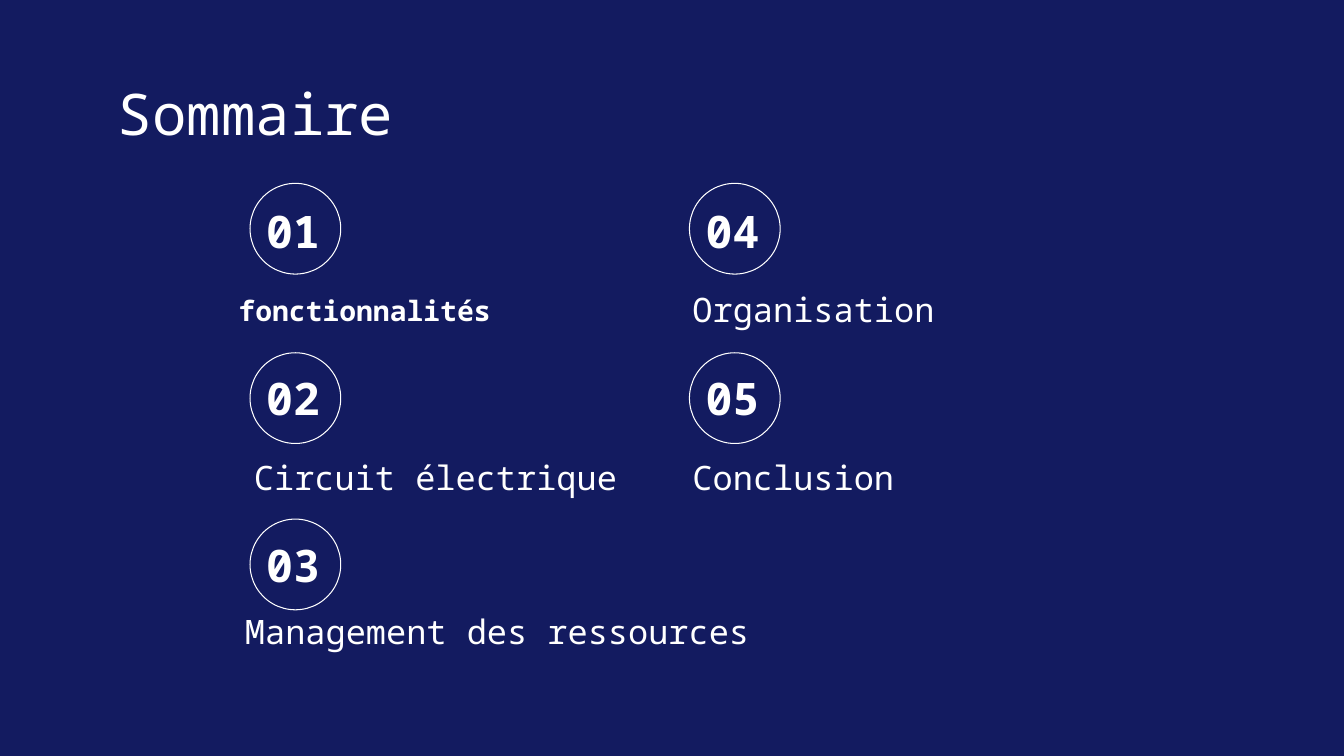
from pptx import Presentation
from pptx.dml.color import RGBColor
from pptx.enum.shapes import MSO_SHAPE
from pptx.enum.text import MSO_ANCHOR
from pptx.util import Pt

OVAL = MSO_SHAPE.OVAL
TOP, BOTTOM = MSO_ANCHOR.TOP, MSO_ANCHOR.BOTTOM

COLUMNS = (178.6, 492.5)
CIRCLE_TOPS = (131, 252, 370.8)
NUMBER_TOP, NUMBER_STEP = 141.1, 119.5
CIRCLE = 64.8
ROWS_PER_COLUMN = len(CIRCLE_TOPS)

# text, box (left, top, width, height), format
TOPICS = [
    (" fonctionnalités", (113, 202.3, 302.4, 31.7), dict(size=20, bold=True, indent=36)),
    ("Circuit électrique", (172.1, 323.3, 302.4, 31.7), {}),
    ("Management des ressources", (165.6, 404.6, 473.8, 60.5), {}),
    ("Organisation", (485.3, 203.8, 302.4, 31.7), {}),
    ("Conclusion", (485.3, 323.3, 302.4, 31.7), {}),
]


def rgb(value):
    return RGBColor.from_string(value)


class Deck:
    font = "Noto Sans Mono"
    ink = "FFFFFF"
    paper = "131B60"
    inset = 9.36

    def __init__(self):
        self.prs = Presentation()
        self.prs.slide_width, self.prs.slide_height = Pt(960), Pt(540)
        self.s = self.prs.slides.add_slide(self.prs.slide_layouts[6])
        fill = self.s.background.fill
        fill.solid()
        fill.fore_color.rgb = rgb(self.paper)

    def circle(self, left, top, size):
        sp = self.s.shapes.add_shape(OVAL, Pt(left), Pt(top), Pt(size), Pt(size))
        sp.shadow.inherit = False
        sp.fill.background()
        sp.line.color.rgb = rgb(self.ink)
        sp.line.width = Pt(0.75)

    def text(self, text, box, size=24, bold=False, anchor=BOTTOM, indent=0):
        tf = self.s.shapes.add_textbox(*map(Pt, box)).text_frame
        tf.word_wrap = True
        tf.vertical_anchor = anchor
        tf.margin_left = tf.margin_right = tf.margin_top = Pt(self.inset)
        tf.margin_bottom = Pt(0 if anchor == BOTTOM else self.inset)
        p = tf.paragraphs[0]
        if indent:
            p._p.get_or_add_pPr().set("marL", str(Pt(indent)))
        r = p.add_run()
        r.text = text
        r.font.name = self.font
        r.font.size = Pt(size)
        r.font.bold = bold
        r.font.color.rgb = rgb(self.ink)


def main():
    deck = Deck()
    deck.text("Sommaire", (74.9, 46.8, 810, 60.5), size=41, anchor=TOP)
    for i, (topic, box, style) in enumerate(TOPICS):
        column, row = divmod(i, ROWS_PER_COLUMN)
        left = COLUMNS[column]
        deck.circle(left, CIRCLE_TOPS[row], CIRCLE)
        number_box = (left + 2.2, NUMBER_TOP + row * NUMBER_STEP, CIRCLE, 42.5)
        deck.text(f"{i + 1:02}", number_box, size=32, bold=True)
        deck.text(topic, box, **style)
    deck.prs.save("out.pptx")


if __name__ == "__main__":
    main()
